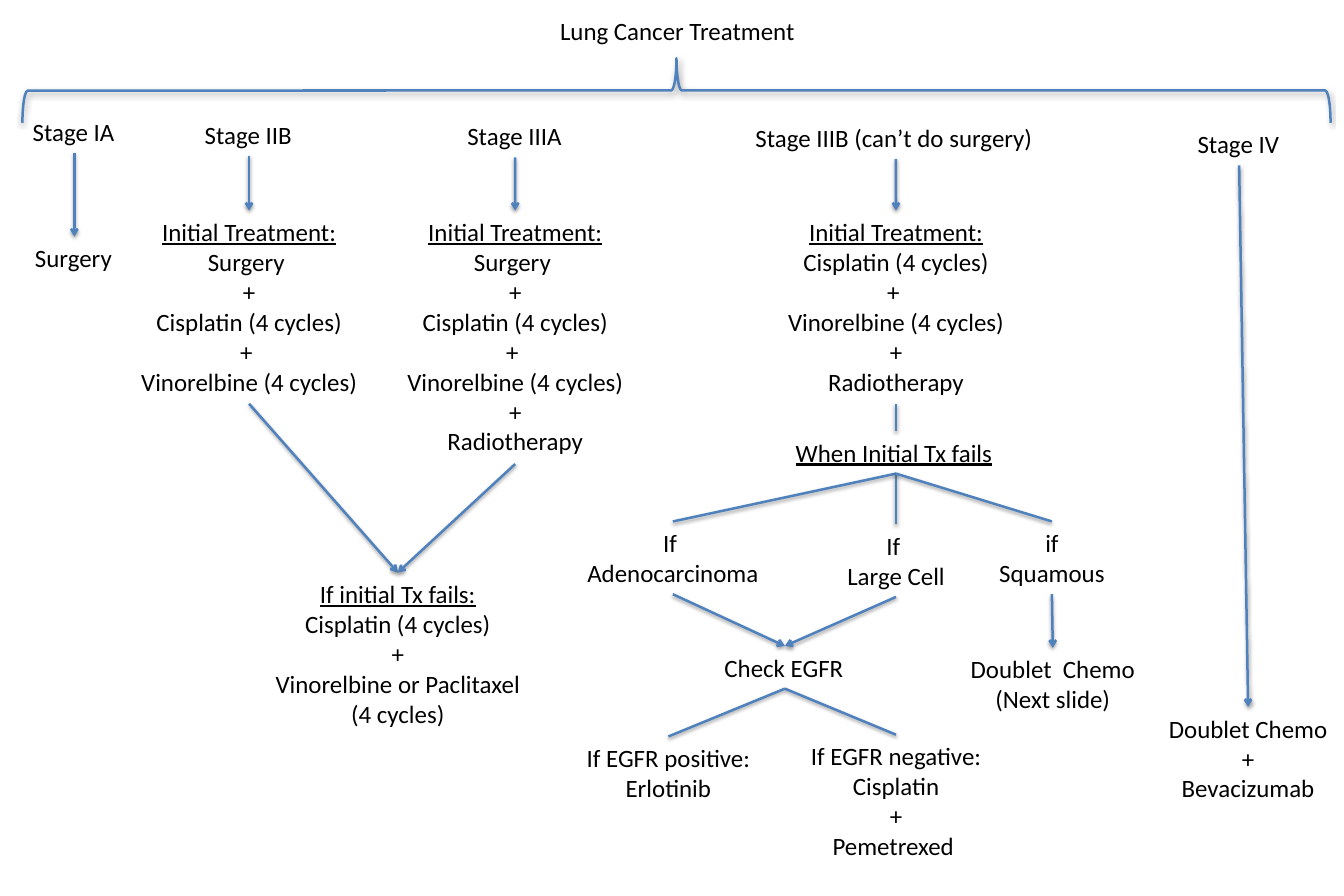
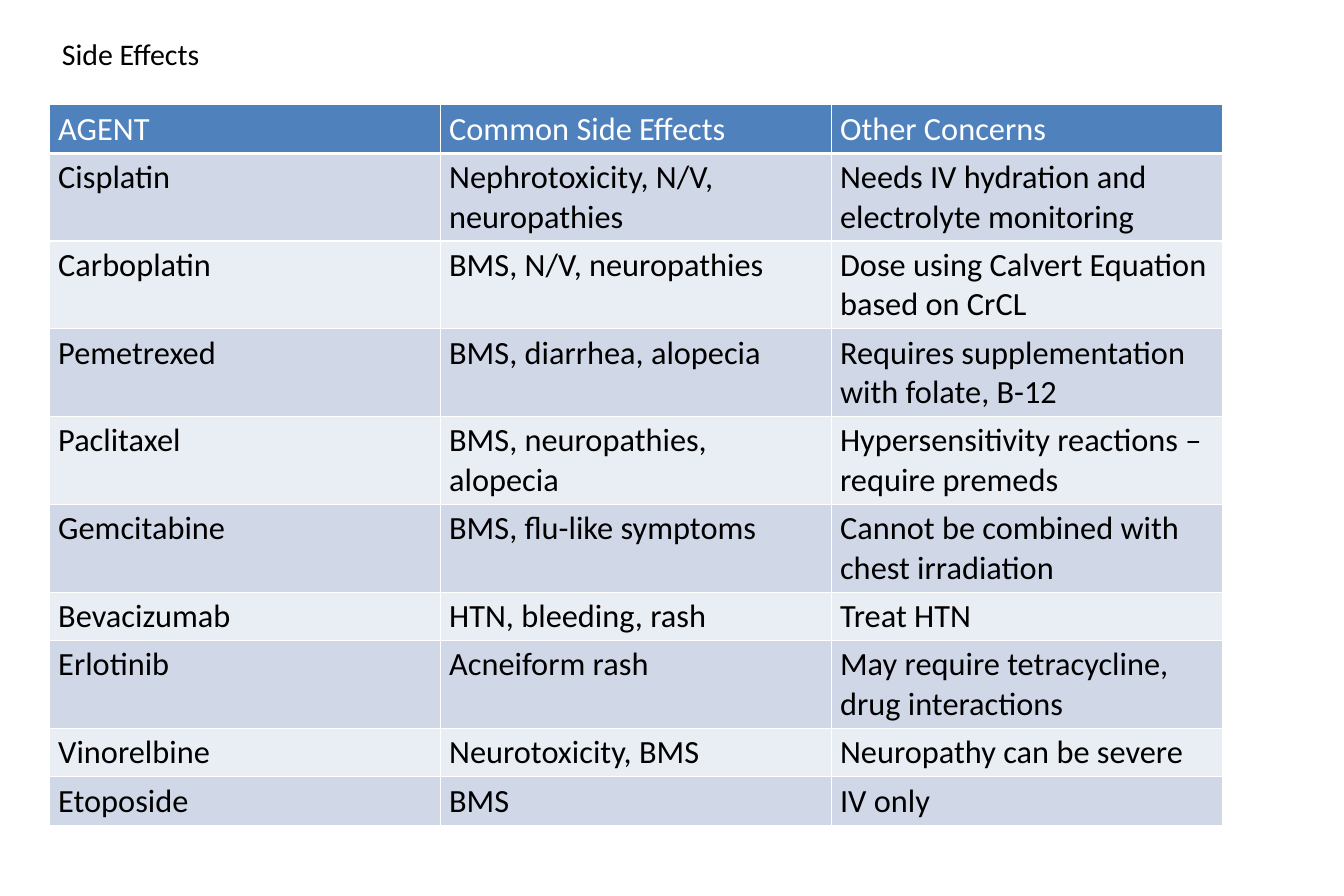
from dataclasses import dataclass

from lxml import etree
from pptx import Presentation
from pptx import util as u
from pptx.dml.color import RGBColor
from pptx.enum import shapes, text
from pptx.oxml import ns

TITLE_ONLY = 5
TOP, LEFT, BOTTOM, RIGHT = range(4)


@dataclass(frozen=True)
class Theme:
    font: str = "Calibri"
    ink: str = "000000"
    paper: str = "FFFFFF"
    accent: str = "4F81BD"
    bands: tuple = ("D0D8E8", "E9EDF4")
    flow_size: int = 20
    heading_size: int = 24
    table_size: int = 26
    line_width: int = 2
    inset_x: float = 0.14
    inset_y: float = 0.07
    line_spacing: float = 1.21

    def text_height(self, line_count, size):
        return 2 * self.inset_y + line_count * size * self.line_spacing / 72


THEME = Theme()


@dataclass(frozen=True)
class Step:
    center: float
    top: float
    width: float
    lines: tuple
    underlined: bool = False


INITIAL = "Initial Treatment:"
CISPLATIN = "Cisplatin (4 cycles)"
VINORELBINE = "Vinorelbine (4 cycles)"
SURGERY_FIRST = (INITIAL, "Surgery ", "+", CISPLATIN, "+ ", VINORELBINE)

STEPS = {
    "stage_1a": Step(0.83, 1.23, 1.21, ("Stage IA",)),
    "stage_2b": Step(2.78, 1.26, 1.27, ("Stage IIB",)),
    "stage_3a": Step(5.75, 1.28, 1.35, ("Stage IIIA",)),
    "stage_3b": Step(10, 1.3, 3.42, ("Stage IIIB (can’t do surgery)",)),
    "stage_4": Step(13.83, 1.37, 1.21, ("Stage IV",)),
    "surgery": Step(0.83, 2.64, 1.16, ("Surgery",)),
    "initial_2b": Step(2.78, 2.35, 2.72, SURGERY_FIRST, True),
    "initial_3a": Step(5.75, 2.35, 2.72, SURGERY_FIRST + ("+", "Radiotherapy"), True),
    "initial_3b": Step(10, 2.35, 2.72, (INITIAL, CISPLATIN, "+ ", VINORELBINE,
                                        "+", "Radiotherapy"), True),
    "second_line": Step(4.44, 6.39, 3.06, ("If initial Tx fails:", CISPLATIN, "+",
                                           "Vinorelbine or Paclitaxel ",
                                           "(4 cycles)"), True),
    "fails_3b": Step(10, 4.81, 2.52, ("When Initial Tx fails",), True),
    "adenocarcinoma": Step(7.51, 5.82, 2.22, ("If ", "Adenocarcinoma")),
    "large_cell": Step(10, 5.85, 1.39, ("If ", "Large Cell")),
    "squamous": Step(11.74, 5.82, 1.48, ("if", "Squamous")),
    "check_egfr": Step(8.76, 7.21, 1.63, ("Check EGFR",)),
    "doublet": Step(11.75, 7.23, 2.14, ("Doublet  Chemo", "(Next slide)")),
    "egfr_positive": Step(7.46, 8.22, 2.13, ("If EGFR positive:", "Erlotinib")),
    "egfr_negative": Step(10, 8.2, 2.22, ("If EGFR negative:", "Cisplatin", "+",
                                          "Pemetrexed ")),
    "bevacizumab": Step(13.93, 7.89, 2.07, ("Doublet Chemo", "+", "Bevacizumab")),
}

ARROWS = (
    ("stage_1a", "surgery"),
    ("stage_2b", "initial_2b"),
    ("stage_3a", "initial_3a"),
    ("stage_3b", "initial_3b"),
    ("stage_4", "bevacizumab"),
    ("initial_2b", "second_line"),
    ("initial_3a", "second_line"),
    ("adenocarcinoma", "check_egfr"),
    ("large_cell", "check_egfr"),
    ("squamous", "doublet"),
)

BRANCHES = (
    ("initial_3b", "fails_3b"),
    ("fails_3b", "adenocarcinoma"),
    ("fails_3b", "large_cell"),
    ("fails_3b", "squamous"),
    ("check_egfr", "egfr_negative"),
    ("check_egfr", "egfr_positive"),
)

SIDE_EFFECTS = (
    ("AGENT", "Common Side Effects", "Other Concerns"),
    ("Cisplatin", "Nephrotoxicity, N/V, neuropathies",
     "Needs IV hydration and electrolyte monitoring"),
    ("Carboplatin", "BMS, N/V, neuropathies",
     "Dose using Calvert Equation based on CrCL"),
    ("Pemetrexed", "BMS, diarrhea, alopecia",
     "Requires supplementation with folate, B-12"),
    ("Paclitaxel", "BMS, neuropathies, alopecia",
     "Hypersensitivity reactions – require premeds"),
    ("Gemcitabine", "BMS, flu-like symptoms",
     "Cannot be combined with chest irradiation"),
    ("Bevacizumab", "HTN, bleeding, rash", "Treat HTN"),
    ("Erlotinib", "Acneiform rash", "May require tetracycline, drug interactions"),
    ("Vinorelbine", "Neurotoxicity, BMS", "Neuropathy can be severe"),
    ("Etoposide", "BMS", "IV only"),
)


def apply(target, values):
    for name, value in values.items():
        setattr(target, name, value)


def add_element(parent, tag, **attributes):
    return etree.SubElement(parent, ns.qn(tag), attributes)


def format_font(font, size, color=THEME.ink, underline=False):
    apply(font, {"name": THEME.font, "size": u.Pt(size), "bold": False,
                 "underline": underline})
    font.color.rgb = RGBColor.from_string(color)


def fill_text(shape, lines, size, underlined=False):
    frame = shape.text_frame
    apply(frame, {
        "margin_left": u.Inches(THEME.inset_x),
        "margin_right": u.Inches(THEME.inset_x),
        "margin_top": u.Inches(THEME.inset_y),
        "margin_bottom": u.Inches(THEME.inset_y),
        "vertical_anchor": text.MSO_ANCHOR.TOP,
        "word_wrap": False,
        "auto_size": text.MSO_AUTO_SIZE.SHAPE_TO_FIT_TEXT,
    })
    alignment = text.PP_ALIGN.CENTER if len(lines) > 1 else text.PP_ALIGN.LEFT
    for index, line in enumerate(lines):
        paragraph = frame.add_paragraph() if index else frame.paragraphs[0]
        paragraph.alignment = alignment
        run = paragraph.add_run()
        run.text = line
        format_font(run.font, size, underline=underlined and index == 0)


def style_line(shape, arrow=False):
    shape.line.color.rgb = RGBColor.from_string(THEME.accent)
    shape.line.width = u.Pt(THEME.line_width)
    properties = shape._element.spPr
    if arrow:
        add_element(properties.find(ns.qn("a:ln")), "a:tailEnd", type="arrow")
    effects = add_element(properties, "a:effectLst")
    shadow = add_element(effects, "a:outerShdw", blurRad=str(u.Pt(3.1)),
                         dist=str(u.Pt(1.6)), dir="5400000", rotWithShape="0")
    color = add_element(shadow, "a:srgbClr", val=THEME.ink)
    add_element(color, "a:alpha", val="38000")


def add_titled_slide(presentation, title, left, top, width, size):
    slide = presentation.slides.add_slide(presentation.slide_layouts[TITLE_ONLY])
    apply(slide.shapes.title, {
        "left": u.Inches(left), "top": u.Inches(top), "width": u.Inches(width),
        "height": u.Inches(THEME.text_height(1, size)),
    })
    fill_text(slide.shapes.title, (title,), size)
    return slide


def add_brace(slide, left, top, width, height):
    brace = slide.shapes.add_shape(
        shapes.MSO_SHAPE.LEFT_BRACE,
        u.Inches(left + (width - height) / 2), u.Inches(top + (height - width) / 2),
        u.Inches(height), u.Inches(width))
    brace.rotation = 90
    brace.fill.background()
    style_line(brace)


def add_step(slide, left, top, step):
    box = slide.shapes.add_textbox(
        u.Inches(left + step.center - step.width / 2), u.Inches(top + step.top),
        u.Inches(step.width),
        u.Inches(THEME.text_height(len(step.lines), THEME.flow_size)))
    fill_text(box, step.lines, THEME.flow_size, step.underlined)
    return box


def join_steps(slide, upper, lower, arrow):
    connector = slide.shapes.add_connector(shapes.MSO_CONNECTOR.STRAIGHT, 0, 0, 0, 0)
    connector.begin_connect(upper, BOTTOM)
    connector.end_connect(lower, TOP)
    style_line(connector, arrow)


def add_flow(slide, left, top):
    add_brace(slide, left + 0.25, top + 0.65, 14.6, 0.72)
    boxes = {name: add_step(slide, left, top, step) for name, step in STEPS.items()}
    for links, arrow in ((ARROWS, True), (BRANCHES, False)):
        for upper, lower in links:
            join_steps(slide, boxes[upper], boxes[lower], arrow)


def add_cell_borders(cell, bottom_width):
    properties = cell._tc.get_or_add_tcPr()
    for tag, width in (("a:lnL", 1), ("a:lnR", 1), ("a:lnT", 1), ("a:lnB", bottom_width)):
        border = add_element(properties, tag, w=str(u.Pt(width)))
        fill = add_element(border, "a:solidFill")
        add_element(fill, "a:srgbClr", val=THEME.paper)


def add_side_effects(slide, left, top, width):
    column_count = len(SIDE_EFFECTS[0])
    single, double, longest_line = 0.54, 0.98, 24
    heights = [double if max(map(len, row)) > longest_line else single
               for row in SIDE_EFFECTS]
    table = slide.shapes.add_table(
        len(SIDE_EFFECTS), column_count, u.Inches(left), u.Inches(top),
        u.Inches(width), u.Inches(sum(heights))).table
    for column in table.columns:
        column.width = u.Inches(width / column_count)
    for row_index, values in enumerate(SIDE_EFFECTS):
        header = row_index == 0
        table.rows[row_index].height = u.Inches(heights[row_index])
        background = THEME.accent if header else THEME.bands[(row_index - 1) % 2]
        for column_index, value in enumerate(values):
            cell = table.cell(row_index, column_index)
            add_cell_borders(cell, 3 if header else 1)
            cell.fill.solid()
            cell.fill.fore_color.rgb = RGBColor.from_string(background)
            run = cell.text_frame.paragraphs[0].add_run()
            run.text = value
            format_font(run.font, THEME.table_size, THEME.paper if header else THEME.ink)


def main():
    presentation = Presentation()
    apply(presentation, {"slide_width": u.Inches(15), "slide_height": u.Inches(10)})
    treatment = add_titled_slide(presentation, "Lung Cancer Treatment",
                                 6.11, 0.1, 2.95, THEME.flow_size)
    add_flow(treatment, 0, 0)
    effects = add_titled_slide(presentation, "Side Effects",
                               0.55, 0.33, 1.86, THEME.heading_size)
    add_side_effects(effects, 0.55, 1.17, 13.09)
    presentation.save("out.pptx")


if __name__ == "__main__":
    main()
